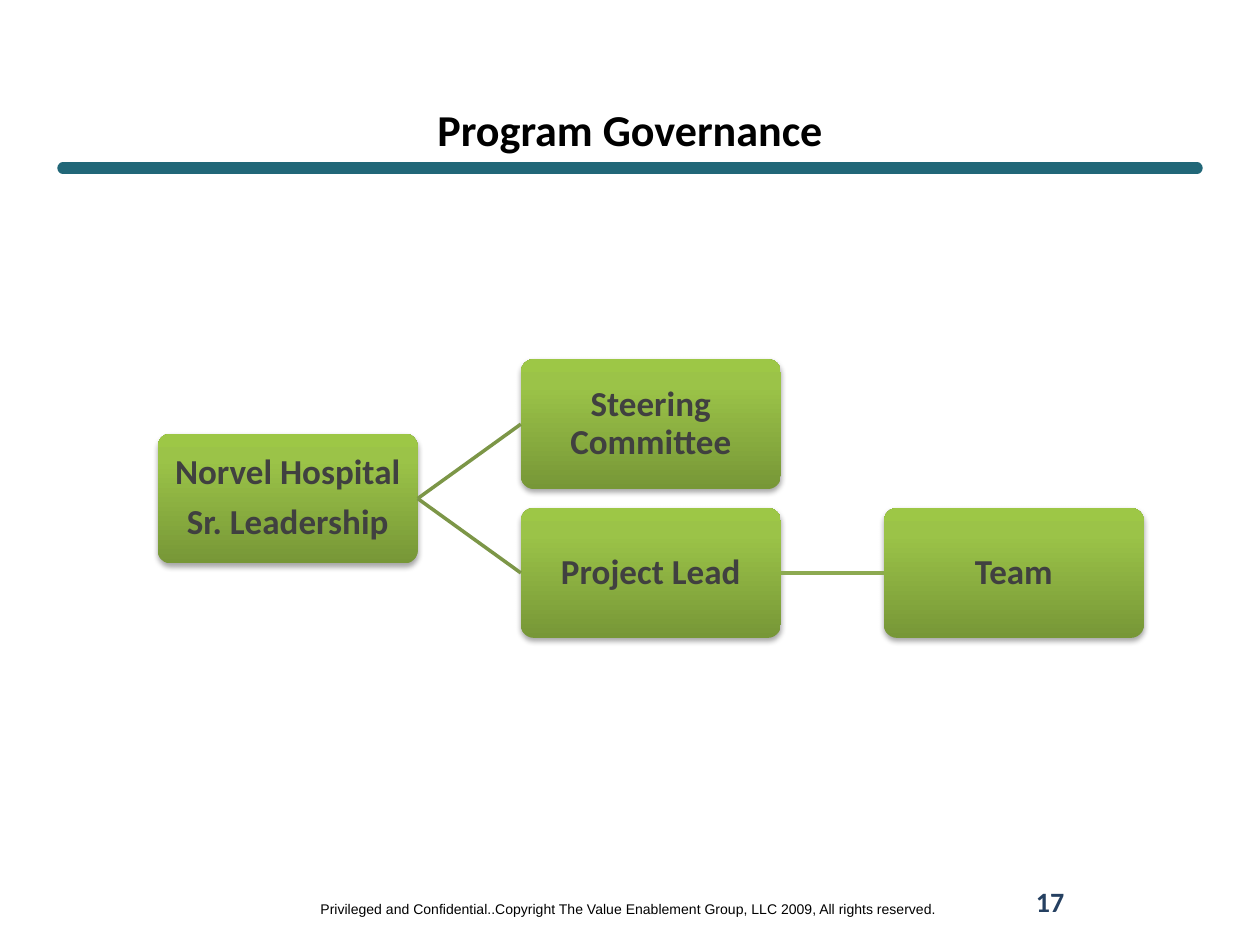
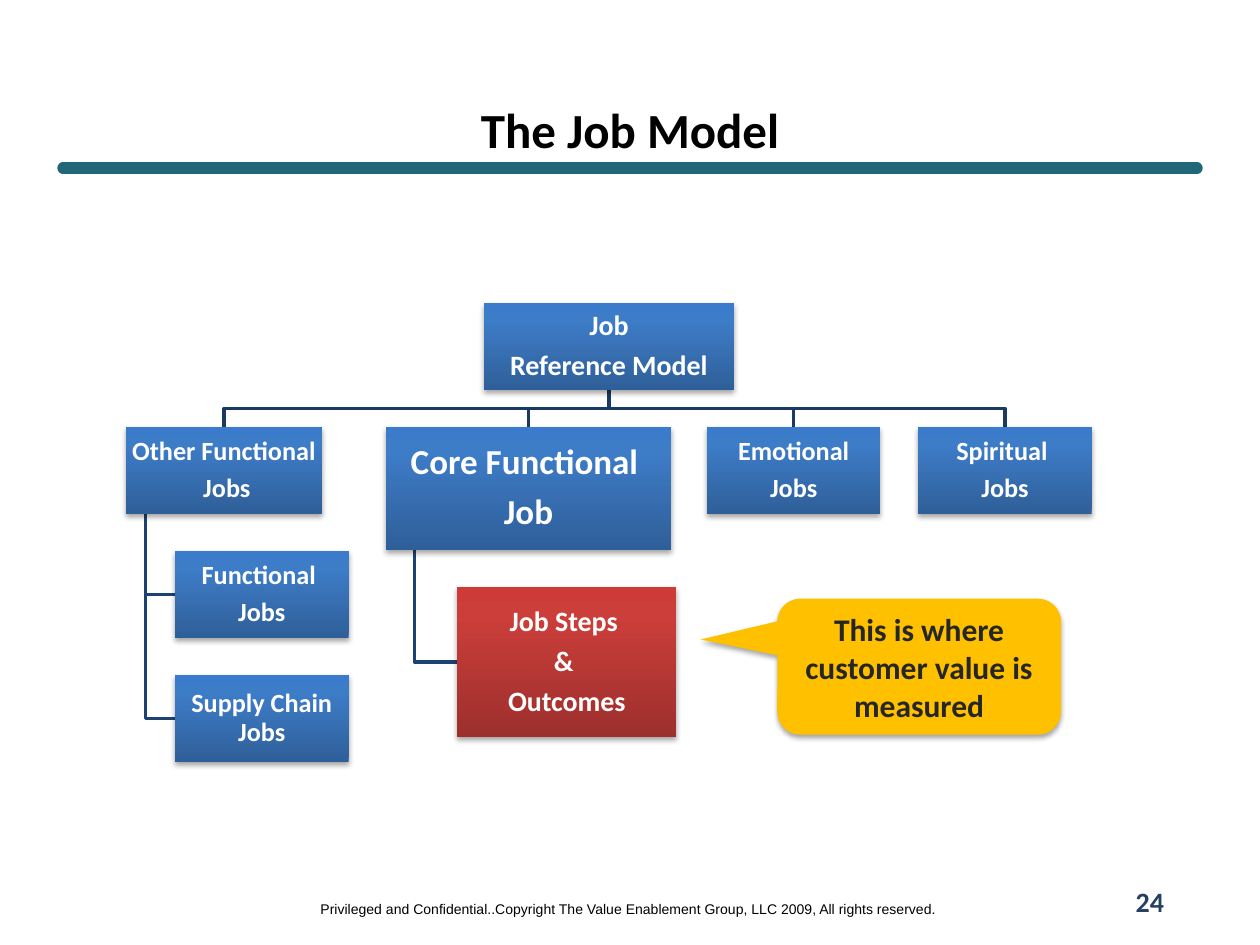
from copy import deepcopy
from dataclasses import dataclass

from lxml import etree
from pptx import Presentation
from pptx.dml.color import RGBColor
from pptx.enum import shapes, text
from pptx.oxml import ns
from pptx.util import Cm, Pt


@dataclass(frozen=True)
class Theme:
    font: str = "Calibri"
    small: str = "Arial"
    black: str = "000000"
    white: str = "FFFFFF"
    grey: str = "404040"
    dark: str = "262626"
    navy: str = "254061"
    band: str = "216778"
    gold: str = "FFC000"
    # Gradients run from the bottom edge to the top
    green: tuple = ("779737", "9BC348", "9DC746")
    blue: tuple = ("2F5F99", "3D7CC7", "3A7CCB")
    red: tuple = ("9C2F2D", "CB3E3A", "CE3B37")
    stops: tuple = (0, 0.8, 1)
    fork: str = "7C9647"
    link: str = "8DAA51"
    trunk: str = "193A64"
    twig: str = "1C4271"
    foot: float = 8
    page: float = 16
    note: float = 18
    large: float = 20
    mid: float = 16
    body: float = 15
    thin: float = 2
    thick: float = 6.5


T = Theme()
KIND = shapes.MSO_SHAPE


@dataclass(frozen=True)
class Box:
    """A rectangle in centimetres."""
    x: float
    y: float
    w: float
    h: float

    @property
    def low(self):
        return self.y + self.h

    @property
    def mid(self):
        return self.x + self.w / 2

    def emu(self):
        return [Cm(v) for v in (self.x, self.y, self.w, self.h)]


def rgb(code):
    return RGBColor.from_string(code)


# ---- Text and shape helpers ----

def write(shape, lines, size, color, font=T.font, bold=True, tight=False):
    frame = shape.text_frame
    frame.word_wrap = True
    frame.vertical_anchor = text.MSO_ANCHOR.MIDDLE
    if tight:
        frame.margin_left = frame.margin_right = Cm(0.03)
        frame.margin_top = frame.margin_bottom = Cm(0.03)
    for i, line in enumerate(lines):
        para = frame.add_paragraph() if i else frame.paragraphs[0]
        para.alignment = text.PP_ALIGN.CENTER
        if tight:
            para.line_spacing = 0.9
            para.space_after = Pt(0.35 * size)
        run = para.add_run()
        run.text = line
        run.font.name, run.font.size = font, Pt(size)
        run.font.bold, run.font.color.rgb = bold, rgb(color)
    return frame


def label(slide, box, line, size, color, **style):
    return write(slide.shapes.add_textbox(*box.emu()), [line], size, color, **style)


def shade(shape):
    shape.shadow.inherit = False
    effect = shape.element.spPr.find(ns.qn("a:effectLst"))
    drop = etree.SubElement(effect, ns.qn("a:outerShdw"), blurRad="40000",
                            dist="23000", dir="5400000", rotWithShape="0")
    tone = etree.SubElement(drop, ns.qn("a:srgbClr"), val=T.black)
    etree.SubElement(tone, ns.qn("a:alpha"), val="35000")


def blend(shape, colors):
    fill = shape.fill
    fill.gradient()
    fill.gradient_angle = 90
    stops = shape.element.spPr.find(".//" + ns.qn("a:gsLst"))
    stops.append(deepcopy(stops[-1]))
    for stop, spot, color in zip(fill.gradient_stops, T.stops, colors):
        stop.position, stop.color.rgb = spot, rgb(color)


def node(slide, box, lines, size, fill, color=T.white, kind=KIND.RECTANGLE):
    shape = slide.shapes.add_shape(kind, *box.emu())
    blend(shape, fill)
    shape.line.fill.background()
    shade(shape)
    write(shape, lines, size, color, tight=True)
    return shape


def line(slide, start, end, color, width=T.thin):
    ends = [Cm(v) for v in (*start, *end)]
    rule = slide.shapes.add_connector(shapes.MSO_CONNECTOR.STRAIGHT, *ends)
    rule.line.color.rgb, rule.line.width = rgb(color), Pt(width)
    etree.SubElement(rule.element.spPr, ns.qn("a:effectLst"))
    return rule


def route(slide, points, color):
    first, *rest = [(Cm(x), Cm(y)) for x, y in points]
    build = slide.shapes.build_freeform(*first)
    build.add_line_segments(rest, close=False)
    shape = build.convert_to_shape()
    shape.fill.background()
    shape.line.color.rgb, shape.line.width = rgb(color), Pt(T.thin)
    shape.shadow.inherit = False


# ---- Shared frame: band, footer, title, page number ----

def frame(deck, title, size, page, width):
    slide = deck.slides.add_slide(deck.slide_layouts[6])
    band = line(slide, (1.27, 3.39), (24.13, 3.39), T.band, T.thick)
    band.element.spPr.find(ns.qn("a:ln")).set("cap", "rnd")
    foot = label(slide, Box(6.12, 18.01, 13.11, 0.61),
                 "Privileged and Confidential..Copyright The Value Enablement "
                 "Group, LLC 2009, All rights reserved.",
                 T.foot, T.black, font=T.small, bold=False)
    foot.word_wrap = False
    label(slide, Box(1.27, 2.11, 22.86, 0.97), title, size, T.black)
    label(slide, Box(24.13 - width, 17.65, width, 1.02), page, T.page, T.navy)
    return slide


# ---- Governance: equal boxes on a grid of columns and half rows ----

def govern(slide, area):
    wide, high = 5.24, 2.62
    step, drop = (area.w - wide) / 2, area.h - high
    plan = {
        "head": (0, 0.5, ["Norvel Hospital", "Sr. Leadership"]),
        "board": (1, 0, ["Steering Committee"]),
        "lead": (1, 1, ["Project Lead"]),
        "team": (2, 1, ["Team"]),
    }
    nodes = {}
    for name, (col, row, lines) in plan.items():
        box = Box(area.x + col * step, area.y + row * drop, wide, high)
        nodes[name] = node(slide, box, lines, T.large, T.green, T.grey,
                           KIND.ROUNDED_RECTANGLE)
        nodes[name].adjustments[0] = 0.1
    for start, end, color in (("head", "board", T.fork), ("head", "lead", T.fork),
                              ("lead", "team", T.link)):
        rule = line(slide, (0, 0), (1, 1), color)
        rule.begin_connect(nodes[start], 3)
        rule.end_connect(nodes[end], 1)


# ---- Job tree: root, a row of branches, children hung below ----

def tree(slide, area):
    gap, high = 0.75, 1.75
    root = Box(area.x + area.w / 2 - 2.52, area.y, 5.04, high)
    # Offset, width, height, lines, size, children (width, height, lines, size, fill)
    rows = [
        (0, 3.95, high, ["Other Functional", " Jobs"], T.body, [
            (3.5, high, ["Functional ", "Jobs"], T.body, T.blue),
            (3.5, high, ["Supply Chain Jobs"], T.body, T.blue)]),
        (5.24, 5.75, 2.48, ["Core Functional ", "Job"], T.large, [
            (4.42, 3.02, ["Job Steps ", "& ", "Outcomes"], T.mid, T.red)]),
        (11.71, 3.5, high, ["Emotional", "Jobs"], T.body, []),
        (15.97, 3.5, high, ["Spiritual ", "Jobs"], T.body, []),
    ]
    nodes = [(root, ["Job", "Reference Model"], T.mid, T.blue)]
    bend = root.low + gap / 2
    # Lines first, so that the boxes lie over them
    for left, wide, tall, lines, size, kids in rows:
        box = Box(area.x + left, root.low + gap, wide, tall)
        nodes.append((box, lines, size, T.blue))
        route(slide, [(root.mid, root.low), (root.mid, bend),
                      (box.mid, bend), (box.mid, box.y)], T.trunk)
        stem, top = box.x + 0.1 * wide, box.low + gap
        for span, deep, *rest in kids:
            kid = Box(box.x + 0.25 * wide, top, span, deep)
            nodes.append((kid, *rest))
            level = kid.y + deep / 2
            route(slide, [(stem, box.low), (stem, level), (kid.x, level)], T.twig)
            top = kid.low + gap
    for item in nodes:
        node(slide, *item)


def callout(slide, box):
    shape = slide.shapes.add_shape(KIND.ROUNDED_RECTANGULAR_CALLOUT, *box.emu())
    for i, value in enumerate((-0.77, -0.2, 0.17)):
        shape.adjustments[i] = value
    shape.fill.solid()
    shape.fill.fore_color.rgb = rgb(T.gold)
    shape.line.fill.background()
    shade(shape)
    write(shape, ["This is where customer value is measured"], T.note, T.dark)


def main():
    deck = Presentation()
    deck.slide_width, deck.slide_height = Cm(25.4), Cm(19.05)

    slide = frame(deck, "Program Governance", 25.2, "17", 5.92)
    govern(slide, Box(3.18, 7.24, 19.88, 5.62))

    slide = frame(deck, "The Job Model", 28, "24", 1.9)
    tree(slide, Box(2.54, 6.11, 19.47, 9.23))
    callout(slide, Box(15.67, 12.07, 5.72, 2.74))

    deck.save("out.pptx")


if __name__ == "__main__":
    main()
